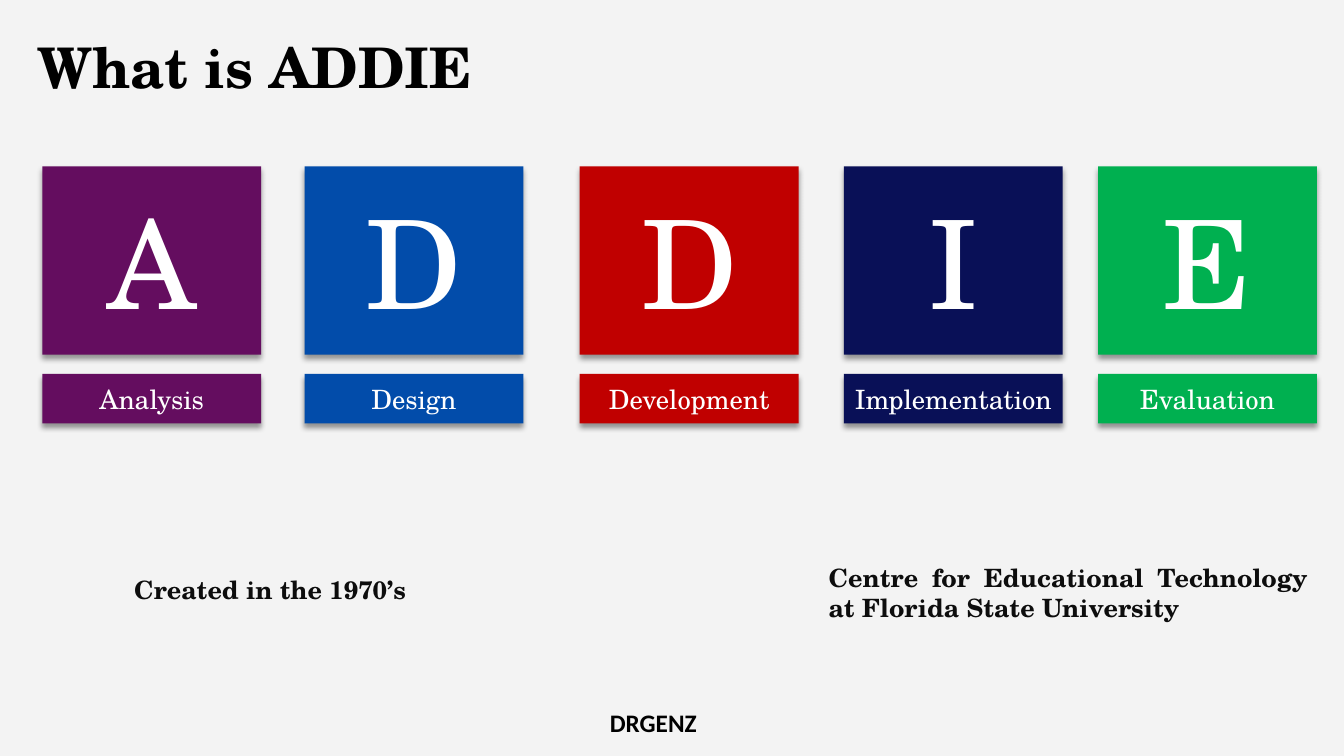
"""Build the slide that introduces the five ADDIE phases."""
from lxml import etree
from pptx import Presentation, util as u
from pptx.dml.color import RGBColor
from pptx.enum import shapes, text
from pptx.oxml.ns import qn

THEME = {
    "serif": "TeX Gyre Schola", "sans": "Calibri",
    "page": "F3F3F3", "black": "000000", "ink": "0D0D0D", "white": "FFFFFF",
    "purple": "640D5F", "blue": "024CAA", "red": "C00000", "navy": "091057", "green": "00B050",
    "title": 40, "letter": 88, "label": 19, "note": 18,
}
ALIGN = text.PP_ALIGN

deck = Presentation()
deck.slide_width, deck.slide_height = u.Inches(13.33), u.Inches(7.5)
column, row = deck.slide_width / 100, deck.slide_height / 100
slide = deck.slides.add_slide(deck.slide_layouts[6])
slide.background.fill.solid()
slide.background.fill.fore_color.rgb = RGBColor.from_string(THEME["page"])


def write(words, left, top, width, height, size="note", color="ink", font="serif",
          bold=True, align=ALIGN.CENTER, spacing=1.0, tile=None):
    """Place text on the 100 by 100 grid, on a shadowed tile when a tile colour is given."""
    place = [round(n) for n in (left * column, top * row, width * column, height * row)]
    if tile:
        box = slide.shapes.add_shape(shapes.MSO_SHAPE.RECTANGLE, *place)
        box.fill.solid()
        box.fill.fore_color.rgb = RGBColor.from_string(THEME[tile])
        box.line.fill.background()
        box.shadow.inherit = False
        effects = box._element.spPr.find(qn("a:effectLst"))
        shadow = etree.SubElement(effects, qn("a:outerShdw"), blurRad=str(u.Pt(4)), dist=str(u.Pt(3)),
                                  dir="5400000", algn="t", rotWithShape="0")
        shade = etree.SubElement(shadow, qn("a:srgbClr"), val=THEME["black"])
        etree.SubElement(shade, qn("a:alpha"), val="40000")
    else:
        box = slide.shapes.add_textbox(*place)
    frame = box.text_frame
    frame.word_wrap = True
    frame.vertical_anchor = text.MSO_ANCHOR.MIDDLE
    paragraph = frame.paragraphs[0]
    paragraph.alignment, paragraph.line_spacing = align, spacing
    run = paragraph.add_run()
    run.text = words
    run.font.name, run.font.size, run.font.bold = THEME[font], u.Pt(THEME[size]), bold
    run.font.color.rgb = RGBColor.from_string(THEME[color])


write("DRGENZ", 39.61, 92.27, 18, 6.53, color="black", font="sans")
write("What is ADDIE", 2.03, 4, 86.27, 10.53, size="title", color="black", align=ALIGN.LEFT, spacing=0.9)

phases = [
    ("Analysis", 3.15, "purple"),
    ("Design", 22.66, "blue"),
    ("Development", 43.14, "red"),
    ("Implementation", 62.79, "navy"),
    ("Evaluation", 81.7, "green"),
]
for phase, left, tint in phases:
    for words, top, height, size in ((phase[0], 22, 24.93, "letter"), (phase, 49.47, 6.53, "label")):
        write(words, left, top, 16.28, height, size=size, color="white", bold=False, tile=tint)

write("Created in the 1970’s", 4.95, 66.67, 30.31, 22.67)
write("Centre for Educational Technology at Florida State University", 60.92, 67.07, 37.13, 22.67,
      align=ALIGN.JUSTIFY)

deck.save("out.pptx")
